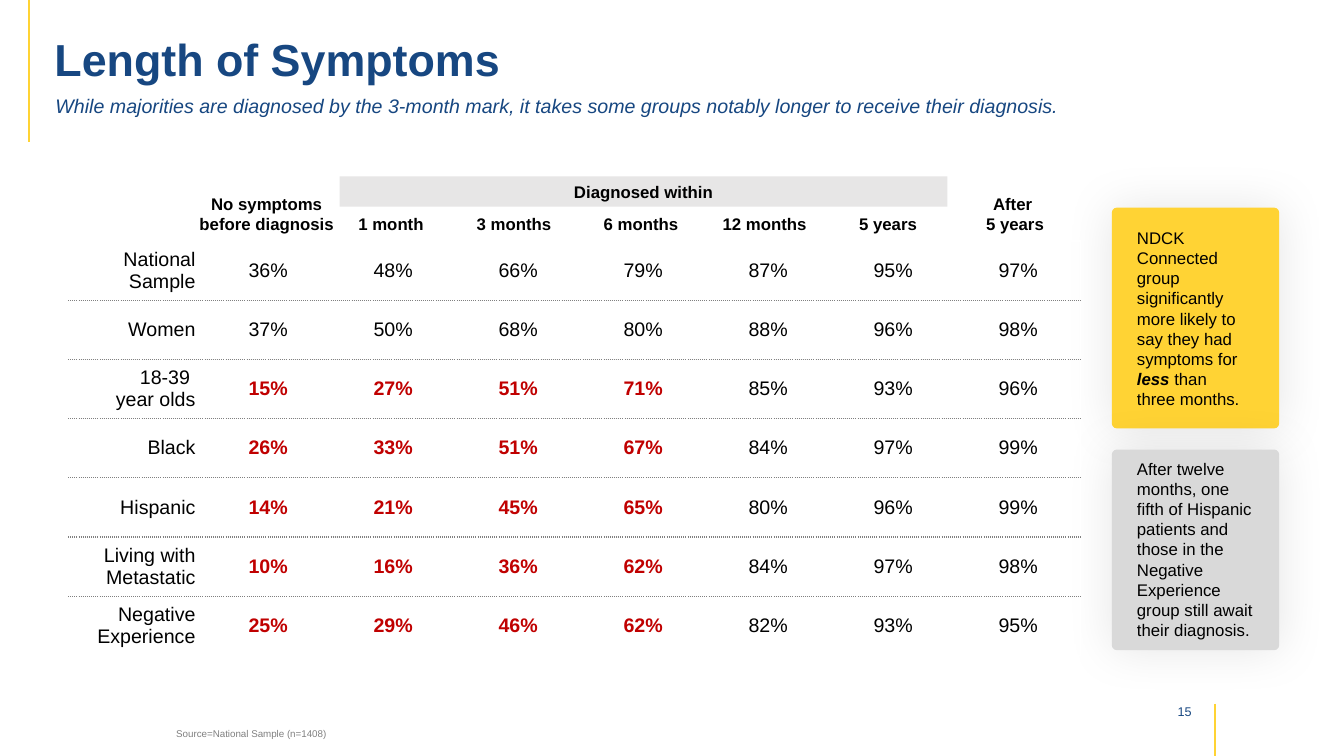
"""Build the Length of Symptoms slide."""
from lxml import etree
from pptx import Presentation, util as u
from pptx.dml.color import RGBColor
from pptx.enum import shapes, text
from pptx.oxml import ns

NAVY = RGBColor(0x17, 0x47, 0x81)
YELLOW = RGBColor(0xFF, 0xD3, 0x34)
BLACK = RGBColor(0, 0, 0)
WHITE = RGBColor(0xFF, 0xFF, 0xFF)
RED = RGBColor(0xC0, 0, 0)
GRAY = RGBColor(0x80, 0x80, 0x80)
CARD_GRAY = RGBColor(0xD9, 0xD9, 0xD9)
BAND_GRAY = RGBColor(0xE7, 0xE6, 0xE6)

LEFT, CENTER, RIGHT = text.PP_ALIGN.LEFT, text.PP_ALIGN.CENTER, text.PP_ALIGN.RIGHT

ROWS = [
    ("National Sample", 36, 48, 66, 79, 87, 95, 97),
    ("Women", 37, 50, 68, 80, 88, 96, 98),
    ("18-39 \vyear olds", 15, 27, 51, 71, 85, 93, 96),
    ("Black", 26, 33, 51, 67, 84, 97, 99),
    ("Hispanic", 14, 21, 45, 65, 80, 96, 99),
    ("Living with Metastatic", 10, 16, 36, 62, 84, 97, 98),
    ("Negative Experience", 25, 29, 46, 62, 82, 93, 95),
]
FIRST_RED_ROW, LAST_RED_COLUMN = 2, 4

HEADERS = [
    ("No symptoms before diagnosis", 128.2, 124.6, 36),
    ("1 month", 242.6, 73.4, 21.6),
    ("3 months", 330.5, 73.4, 21.6),
    ("6 months", 421.2, 73.4, 21.6),
    ("12 months", 503.3, 85.7, 21.6),
    ("5 years", 604.8, 59, 21.6),
    ("After \v5 years", 695.5, 59, 36),
]
HEADER_BOTTOM = 171

CARDS = [
    (YELLOW, 148.3, 157.7, 159.1, 92.9,
     ["NDCK Connected group significantly more likely to say they had symptoms for ",
      "less", " than three months."]),
    (CARD_GRAY, 321.1, 143.3, 324, 97.2,
     ["After twelve months, one fifth of Hispanic patients and those in the "
      "Negative Experience group still await their diagnosis."]),
]


class SlideBuilder:
    """Hold the slide and its style, and add elements measured in points."""

    font_name = "Arial"

    def __init__(self, slide):
        self.slide = slide

    def box(self, left, top, width, height):
        return [u.Pt(value) for value in (left, top, width, height)]

    def style(self, paragraph, size, color, bold=False, italic=False, align=LEFT):
        paragraph.alignment = align
        font = paragraph.font
        font.name, font.size = self.font_name, u.Pt(size)
        font.bold, font.italic = bold, italic
        font.color.rgb = color

    def placeholder(self, index, content, box, anchor, size, **style):
        shape = self.slide.placeholders[index]
        shape.left, shape.top, shape.width, shape.height = self.box(*box)
        frame = shape.text_frame
        frame.auto_size = text.MSO_AUTO_SIZE.NONE
        frame.vertical_anchor = anchor
        frame.text = content
        paragraph = frame.paragraphs[0]
        self.style(paragraph, size, NAVY, **style)
        return paragraph

    def title(self, content, box):
        paragraph = self.placeholder(0, content, box, text.MSO_ANCHOR.MIDDLE, 32, bold=True)
        paragraph.line_spacing = 0.9

    def subtitle(self, content, box):
        paragraph = self.placeholder(1, content, box, text.MSO_ANCHOR.TOP, 14, italic=True)
        paragraph.space_before = u.Pt(10)
        properties = paragraph._p.get_or_add_pPr()
        properties.set("marL", "0")
        properties.set("indent", "0")
        bullet = etree.Element(ns.qn("a:buNone"))
        properties.find(ns.qn("a:defRPr")).addprevious(bullet)

    def label(self, runs, box, size, color=BLACK, **style):
        frame = self.slide.shapes.add_textbox(*self.box(*box)).text_frame
        frame.word_wrap = True
        paragraph = frame.paragraphs[0]
        paragraph.text = runs[0]
        for content in runs[1:]:
            paragraph.add_run().text = content
        self.style(paragraph, size, color, **style)
        return paragraph

    def rule(self, x, top, bottom):
        line = self.slide.shapes.add_connector(
            shapes.MSO_CONNECTOR.STRAIGHT, u.Pt(x), u.Pt(top), u.Pt(x), u.Pt(bottom))
        line.line.color.rgb = YELLOW
        line.line.width = u.Pt(1.5)
        etree.SubElement(line._element.spPr, ns.qn("a:effectLst"))

    def panel(self, kind, box, fill):
        shape = self.slide.shapes.add_shape(kind, *self.box(*box))
        shape.shadow.inherit = False
        shape.fill.solid()
        shape.fill.fore_color.rgb = fill
        shape.line.fill.background()
        return shape

    def band(self, content, box):
        shape = self.panel(shapes.MSO_SHAPE.RECTANGLE, box, BAND_GRAY)
        shape.text_frame.text = content
        self.style(shape.text_frame.paragraphs[0], 12, BLACK, bold=True, align=CENTER)

    def card(self, fill, top, height, text_top, text_width, runs):
        shape = self.panel(
            shapes.MSO_SHAPE.ROUNDED_RECTANGLE, (794.2, top, 119.5, height), fill)
        shape.adjustments[0] = 0.03
        effects = shape._element.spPr.find(ns.qn("a:effectLst"))
        glow = etree.SubElement(effects, ns.qn("a:outerShdw"), blurRad=str(u.Pt(34.9)),
                                dist="0", dir="0", algn="ctr", rotWithShape="0")
        color = etree.SubElement(glow, ns.qn("a:srgbClr"), val=str(BLACK))
        etree.SubElement(color, ns.qn("a:alpha"), val="10000")
        paragraph = self.label(runs, (805, text_top, text_width, 138.2), 12)
        for run in paragraph.runs[1:2]:
            run.font.bold = run.font.italic = True

    def border(self, cell, side, color, dotted):
        line = etree.SubElement(cell._tc.get_or_add_tcPr(), ns.qn("a:ln" + side),
                                w=str(u.Pt(1)))
        fill = etree.SubElement(line, ns.qn("a:solidFill"))
        etree.SubElement(fill, ns.qn("a:srgbClr"), val=str(color))
        etree.SubElement(line, ns.qn("a:prstDash"), val="sysDot" if dotted else "solid")

    def table(self, rows, left, top, label_width, value_width, row_height):
        columns = len(rows[0])
        width = label_width + (columns - 1) * value_width
        table = self.slide.shapes.add_table(
            len(rows), columns,
            *self.box(left, top, width, len(rows) * row_height)).table
        table.first_row = table.horz_banding = False
        for index, column in enumerate(table.columns):
            column.width = u.Pt(value_width if index else label_width)
        for row_index, values in enumerate(rows):
            table.rows[row_index].height = u.Pt(row_height)
            inner = {"T": row_index > 0, "B": row_index < len(rows) - 1}
            for column_index, value in enumerate(values):
                cell = table.cell(row_index, column_index)
                cell.vertical_anchor = text.MSO_ANCHOR.MIDDLE
                cell.text = f"{value}%" if column_index else value
                red = row_index >= FIRST_RED_ROW and 1 <= column_index <= LAST_RED_COLUMN
                self.style(cell.text_frame.paragraphs[0], 14, RED if red else BLACK,
                           bold=red, align=CENTER if column_index else RIGHT)
                for side in "LRTB":
                    dotted = inner.get(side, False)
                    self.border(cell, side, GRAY if dotted else WHITE, dotted)
                cell.fill.background()


def main():
    presentation = Presentation()
    presentation.slide_width, presentation.slide_height = u.Pt(960), u.Pt(540)
    builder = SlideBuilder(presentation.slides.add_slide(presentation.slide_layouts[1]))
    builder.rule(21, 0, 101.5)
    builder.label(["15"], (815.8, 499, 42.5, 18), 9, NAVY, align=RIGHT)
    builder.rule(867.6, 502.6, 540)
    builder.title("Length of Symptoms", (31.7, 16.6, 892, 54.7))
    builder.subtitle("While majorities are diagnosed by the 3-month mark, it takes some "
                     "groups notably longer to receive their diagnosis.",
                     (32.4, 63.4, 889, 36))
    builder.label(["Source=National Sample (n=1408)"], (118.8, 516.2, 450, 15.8), 7, GRAY)
    for card in CARDS:
        builder.card(*card)
    builder.table(ROWS, 49, 172.1, 97.9, 89.3, 42.3)
    for content, left, width, height in HEADERS:
        builder.label([content], (left, HEADER_BOTTOM - height, width, height), 12,
                      bold=True, align=CENTER)
    builder.band("Diagnosed within", (242.6, 126, 434.2, 21.6))
    presentation.save("out.pptx")


if __name__ == "__main__":
    main()
